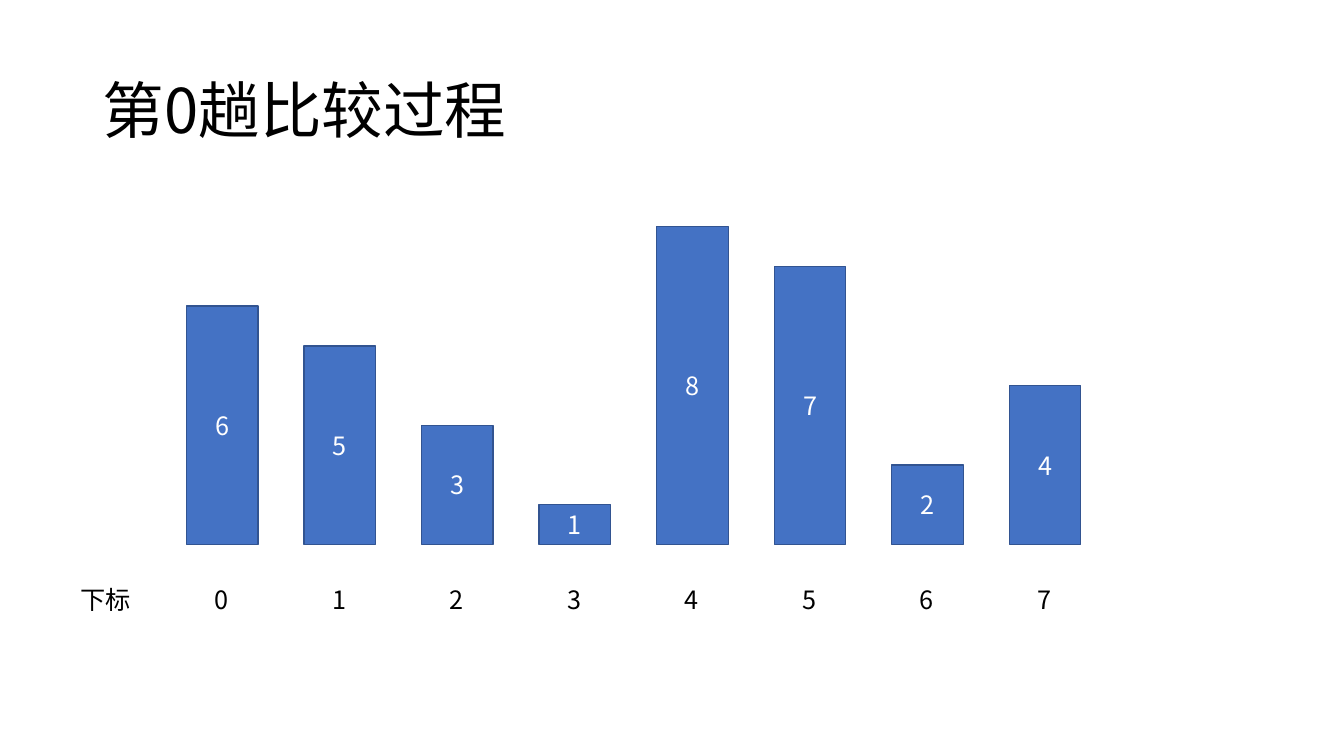
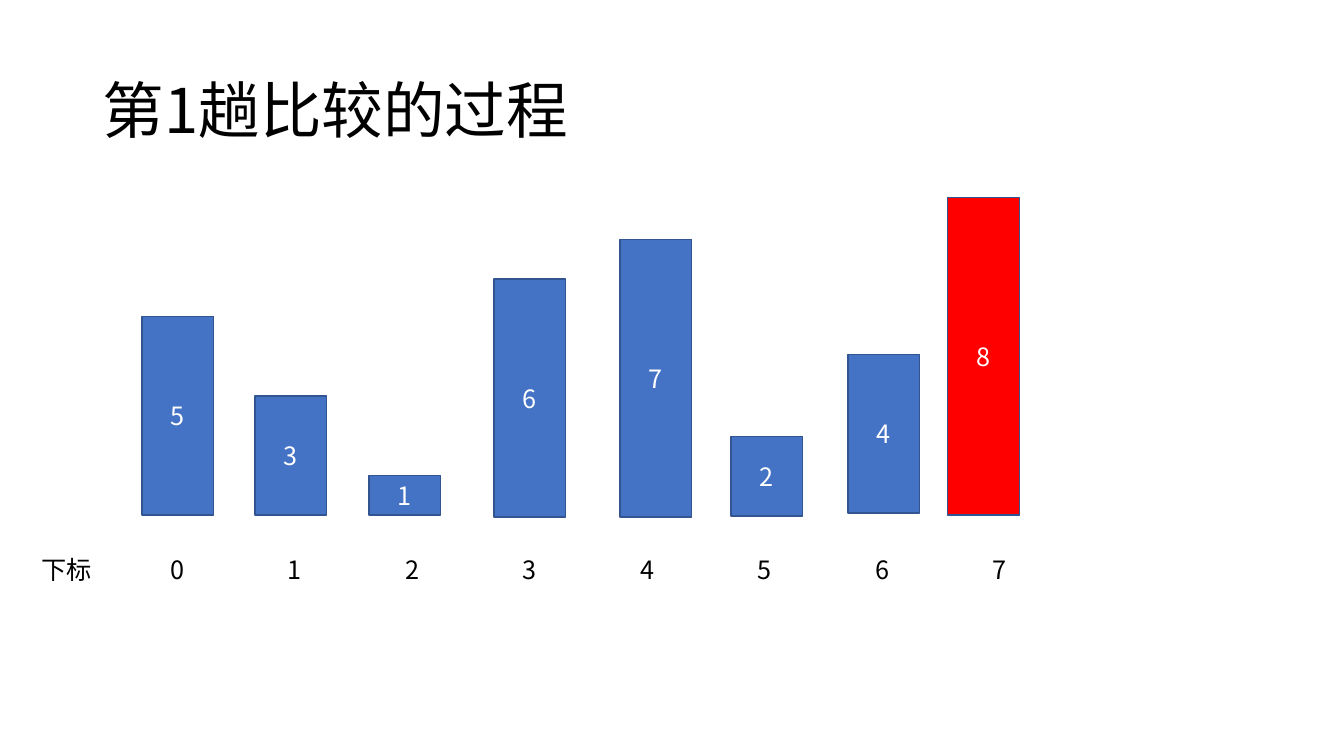
from lxml import etree
from pptx import Presentation
from pptx import util as u
from pptx.dml import color
from pptx.enum import shapes, text
from pptx.oxml import ns

FONT = "Noto Sans CJK SC"
HUES = {"ink": "000000", "bar": "4472C4", "edge": "325491",
        "done": "FF0000", "light": "FFFFFF"}
WIDE = 0.71
UNIT = 3.15 / 8
STEP = 8.16 / 7
GAP = 0.35


def hue(name):
    """Return the named colour."""
    return color.RGBColor.from_string(HUES[name])


def write(shape, words, size=18, ink="ink", align=text.PP_ALIGN.LEFT):
    """Put one styled paragraph in a shape and return it."""
    para = shape.text_frame.paragraphs[0]
    para.text = words
    para.alignment = align
    para.font.size = u.Pt(size)
    para.font.color.rgb = hue(ink)
    para.font.name = FONT
    props = para._p.pPr.find(ns.qn("a:defRPr"))
    etree.SubElement(props, ns.qn("a:ea")).set("typeface", FONT)
    return para


def title(slide, words):
    """Add the slide title."""
    box = slide.shapes.add_textbox(*map(u.Inches, (0.92, 0.4, 11.5, 1.45)))
    box.text_frame.word_wrap = True
    box.text_frame.vertical_anchor = text.MSO_ANCHOR.MIDDLE
    write(box, words, 44).line_spacing = 0.9


def label(slide, words, left, top, width=0.34):
    """Add a one-line label that fits its text."""
    box = slide.shapes.add_textbox(*map(u.Inches, (left, top, width, 0.4)))
    box.text_frame.word_wrap = False
    box.text_frame.auto_size = text.MSO_AUTO_SIZE.SHAPE_TO_FIT_TEXT
    write(box, words)


def bar(slide, value, left, base, fill):
    """Stand a bar on its base, as tall as its value."""
    high = value * UNIT
    rect = slide.shapes.add_shape(
        shapes.MSO_SHAPE.RECTANGLE,
        *map(u.Inches, (left, base - high, WIDE, high)))
    rect.shadow.inherit = False
    rect.fill.solid()
    rect.fill.fore_color.rgb = hue(fill)
    rect.line.color.rgb = hue("edge")
    rect.line.width = u.Pt(1)
    rect.text_frame.vertical_anchor = text.MSO_ANCHOR.MIDDLE
    write(rect, str(value), ink="light", align=text.PP_ALIGN.CENTER)


def index(slide, count, left, base, head):
    """Add the row of index numbers below the bars."""
    top = base + GAP
    label(slide, "下标", head, top, WIDE)
    for i in range(count):
        label(slide, str(i), left + 0.18 + i * STEP, top)


def round_slide(deck, words, bars, left, base, head):
    """Build one sorting round from (value, left, base, fill) bars."""
    slide = deck.slides.add_slide(deck.slide_layouts[6])
    title(slide, words)
    for item in bars:
        bar(slide, *item)
    index(slide, len(bars), left, base, head)


def main():
    """Build and save the deck."""
    deck = Presentation()
    deck.slide_width, deck.slide_height = u.Inches(13.33), u.Inches(7.5)
    first = [(value, 1.85 + i * STEP, 5.4, "bar")
             for i, value in enumerate((6, 5, 3, 1, 8, 7, 2, 4))]
    second = [(5, 1.41, 5.11, "bar"), (3, 2.53, 5.11, "bar"),
              (1, 3.66, 5.11, "bar"), (6, 4.9, 5.13, "bar"),
              (7, 6.15, 5.13, "bar"), (2, 7.25, 5.12, "bar"),
              (4, 8.41, 5.09, "bar"), (8, 9.4, 5.11, "done")]
    round_slide(deck, "第0趟比较过程", first, 1.85, 5.4, 0.7)
    round_slide(deck, "第1趟比较的过程", second, 1.41, 5.1, 0.31)
    deck.save("out.pptx")


main()
